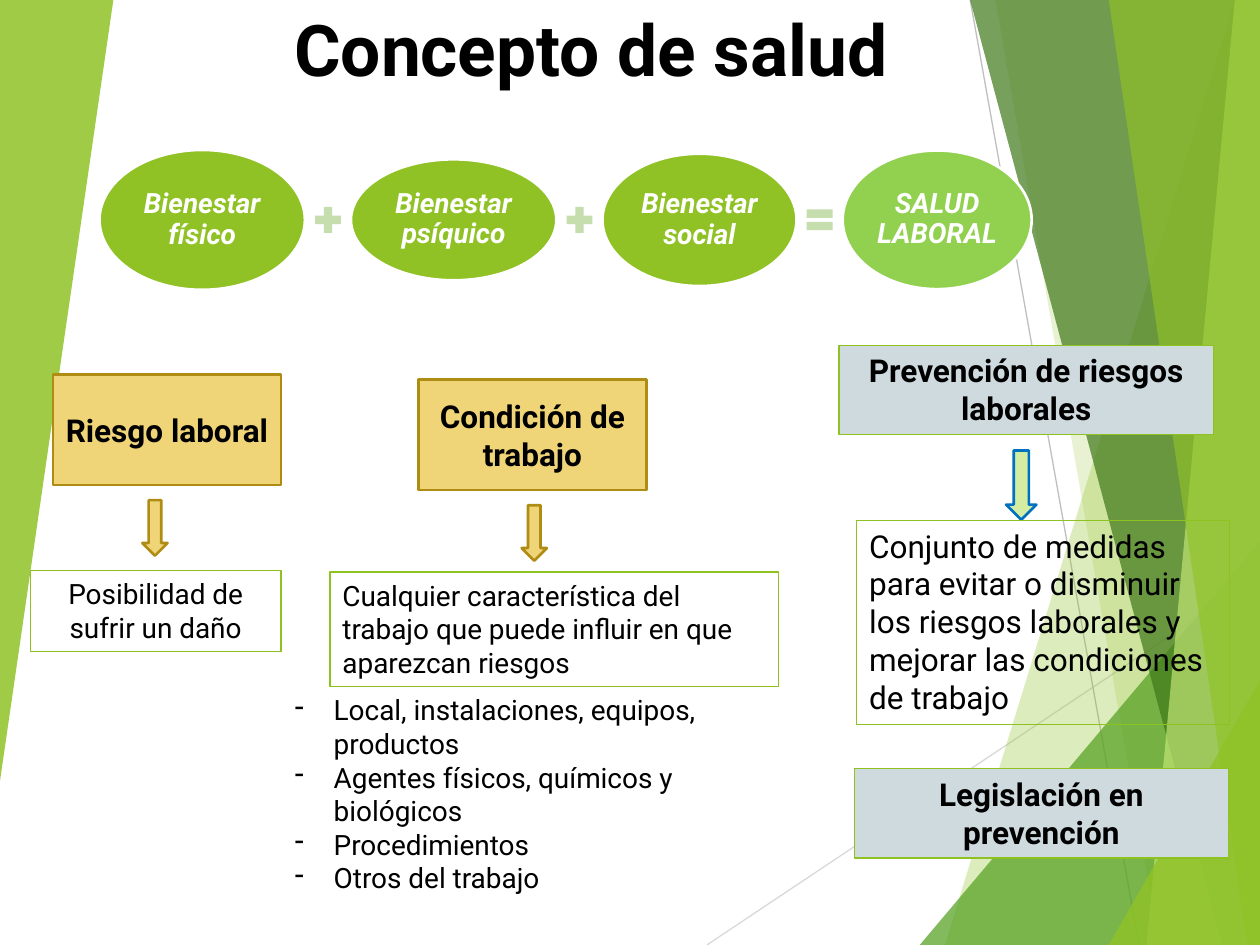
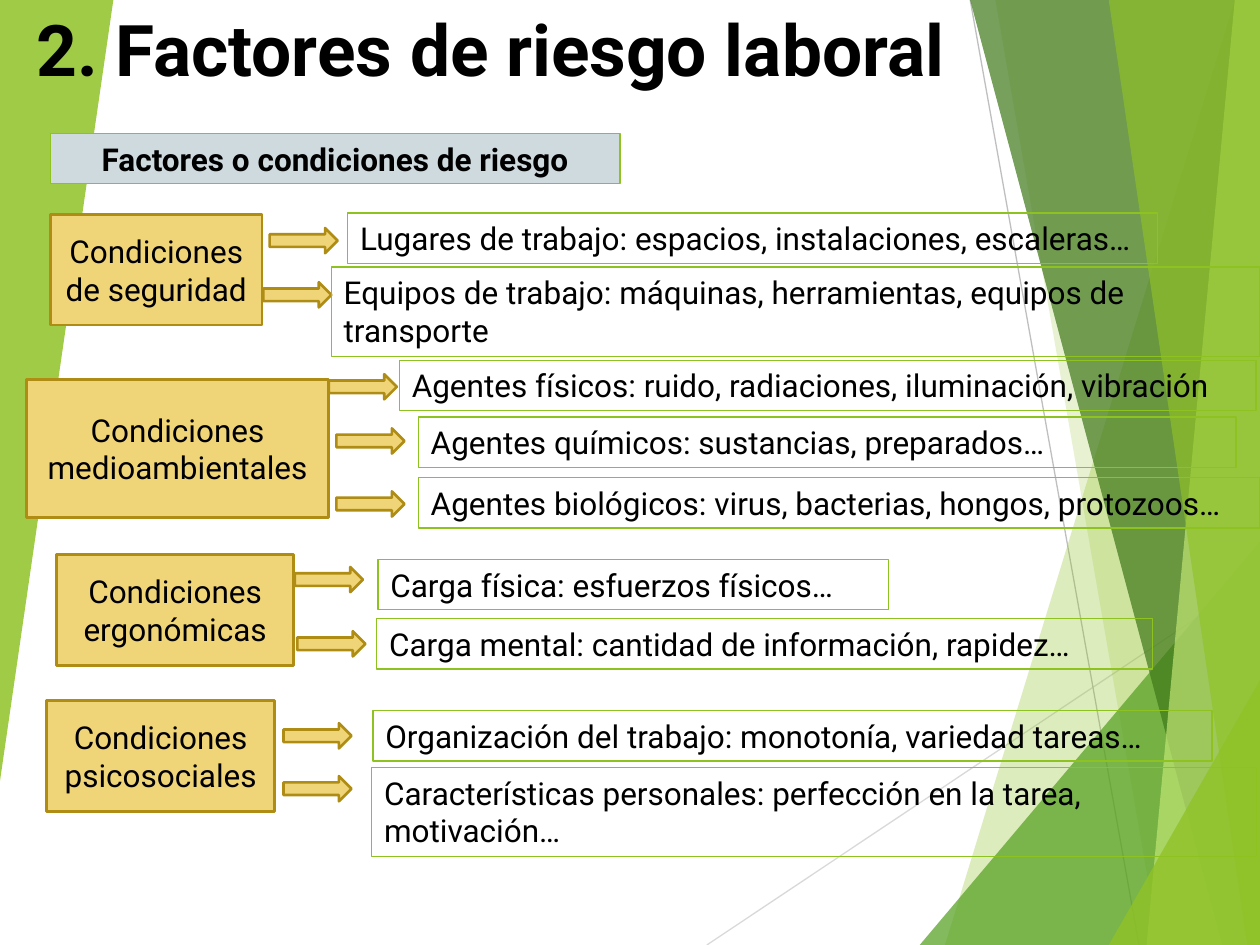
from typing import NamedTuple

from lxml.etree import SubElement
from pptx import Presentation
from pptx.dml.color import RGBColor
from pptx.enum.shapes import MSO_CONNECTOR, MSO_SHAPE
from pptx.enum.text import MSO_ANCHOR, MSO_AUTO_SIZE, PP_ALIGN
from pptx.oxml.ns import qn
from pptx.util import Inches, Pt

# Grid: 100 columns by 75 rows of square cells
COLUMNS, ROWS = 100, 75
CELL = Inches(0.1)

BLACK, WHITE = "000000", "FFFFFF"
LIME, LIGHT_LIME = "90C226", "92D050"
GOLD, DARK_GOLD = "F0D578", "AF8C14"
GREY_BLUE, BOX_LINE = "CFDADF", "8EC221"
PALE_GREEN, BLUE, OPERATOR = "D5EDA2", "0070C0", "C6DDAD"

FONTS = {
    "title": {"size": Pt(40.7), "bold": True},
    "heading": {"size": Pt(18), "bold": True},
    "body": {"size": Pt(18)},
    "small": {"size": Pt(16)},
    "bubble": {"size": Pt(16), "bold": True, "italic": True},
}

# Backdrop facets: colour, opacity in percent, corners
FACETS = [
    (LIME, 30, [(97.5, 0), (75.4, 75), (100, 75), (100, 0)]),
    (LIME, 20, [(78.8, 0), (91.9, 75), (100, 75), (100, 0)]),
    ("54A021", 72, [(72.6, 75), (100, 42.9), (100, 75)]),
    ("3F7819", 70, [(76.7, 0), (97, 75), (100, 75), (100, 0)]),
    ("C0E474", 70, [(98.1, 0), (90.7, 75), (100, 75), (100, 0)]),
    (LIME, 65, [(88.3, 0), (98.6, 75), (100, 75), (99.8, 0)]),
    (LIME, 80, [(88.1, 75), (100, 53.5), (100, 75)]),
    (LIME, 85, [(0, 0), (9.4, 0), (0, 62)]),
]
BACKDROP_LINES = [("D9D9D9", (56.1, 75, 100, 45.7)),
                  ("BFBFBF", (77, 0, 90.4, 75))]


class Box(NamedTuple):
    left: float
    top: float
    width: float
    height: float

    def inner(self, left, top, width, height):
        return Box(self.left + left, self.top + top, width, height)

    def lengths(self):
        return [round(value * CELL) for value in self]


def set_all(target, values):
    for name, value in values.items():
        setattr(target, name, value)


def color(hex_text):
    return RGBColor.from_string(hex_text)


def paint(shape, fill=None, line=None, width=0.75):
    shape.shadow.inherit = False
    if fill:
        shape.fill.solid()
        shape.fill.fore_color.rgb = color(fill)
    else:
        shape.fill.background()
    if line:
        shape.line.color.rgb = color(line)
        shape.line.width = Pt(width)
    else:
        shape.line.fill.background()


def write(shape, lines, font, align=PP_ALIGN.LEFT, ink=BLACK, bullet=None, **frame_values):
    frame = shape.text_frame
    set_all(frame, {"word_wrap": True, "vertical_anchor": MSO_ANCHOR.TOP, **frame_values})
    for index, line in enumerate(lines):
        paragraph = frame.add_paragraph() if index else frame.paragraphs[0]
        paragraph.alignment = align
        if bullet:
            properties = paragraph._p.get_or_add_pPr()
            properties.set("marL", str(Inches(0.31)))
            properties.set("indent", str(-Inches(0.31)))
            SubElement(properties, qn("a:buChar")).set("char", bullet)
        run = paragraph.add_run()
        run.text = line
        set_all(run.font, {"name": "Roboto", **FONTS[font]})
        run.font.color.rgb = color(ink)


def add_preset(slide, kind, box, fill=None, line=None, width=0.75):
    shape = slide.shapes.add_shape(kind, *box.lengths())
    paint(shape, fill, line, width)
    return shape


def add_arrow(slide, box, fill=GOLD, line=DARK_GOLD, rotation=0):
    arrow = add_preset(slide, MSO_SHAPE.RIGHT_ARROW, box, fill, line, 1.5)
    arrow.rotation = rotation


def add_gold_box(slide, box, text, font):
    shape = add_preset(slide, MSO_SHAPE.RECTANGLE, box, GOLD, DARK_GOLD, 1.5)
    write(shape, [text], font, PP_ALIGN.CENTER, vertical_anchor=MSO_ANCHOR.MIDDLE)


def add_green_box(slide, box, text, font="body", align=PP_ALIGN.LEFT, fill=None):
    shape = add_preset(slide, MSO_SHAPE.RECTANGLE, box, fill, BOX_LINE)
    write(shape, [text], font, align, auto_size=MSO_AUTO_SIZE.SHAPE_TO_FIT_TEXT)


def add_heading_box(slide, box, text):
    add_green_box(slide, box, text, "heading", PP_ALIGN.CENTER, GREY_BLUE)


# Shared frame of every slide
def add_backdrop(slide):
    for hex_text, ends in BACKDROP_LINES:
        line = slide.shapes.add_connector(
            MSO_CONNECTOR.STRAIGHT, *[round(value * CELL) for value in ends])
        line.line.color.rgb = color(hex_text)
        line.line.width = Pt(0.75)
        SubElement(line._element.spPr, qn("a:effectLst"))
    for hex_text, opacity, corners in FACETS:
        builder = slide.shapes.build_freeform(*corners[0], scale=CELL)
        builder.add_line_segments(corners[1:], close=True)
        facet = builder.convert_to_shape()
        paint(facet, hex_text)
        fill_color = facet._element.spPr.find(qn("a:solidFill"))[0]
        SubElement(fill_color, qn("a:alpha")).set("val", str(opacity * 1000))


def add_titled_slide(presentation, title, align):
    slide = presentation.slides.add_slide(presentation.slide_layouts[6])
    add_backdrop(slide)
    text_box = slide.shapes.add_textbox(*Box(1.9, 0, 90, 7.6).lengths())
    write(text_box, [title], "title", align, vertical_anchor=MSO_ANCHOR.MIDDLE)
    return slide


# Row of bubbles joined by operators, centred on the middle of its box
def add_health_equation(slide, box):
    plus, equal = MSO_SHAPE.MATH_PLUS, MSO_SHAPE.MATH_EQUAL
    terms = [
        ("Bienestar físico", 16.3, 11.1, LIME, plus),
        ("Bienestar psíquico", 16.3, 9.6, LIME, plus),
        ("Bienestar social", 15.4, 10.5, LIME, equal),
        ("SALUD LABORAL", 15, 11, LIGHT_LIME, None),
    ]
    gap, sign = 0.43, 2.8
    inset = Inches(0.02)
    margins = {f"margin_{side}": inset for side in ("left", "right", "top", "bottom")}
    left = 0
    for text, width, height, fill, operator in terms:
        place = box.inner(left, (box.height - height) / 2, width, height)
        bubble = add_preset(slide, MSO_SHAPE.OVAL, place, fill, WHITE, 1.5)
        write(bubble, [text], "bubble", PP_ALIGN.CENTER, WHITE,
              vertical_anchor=MSO_ANCHOR.MIDDLE, **margins)
        bubble.text_frame.paragraphs[0].line_spacing = 0.9
        left += width + gap
        if operator:
            place = box.inner(left, (box.height - sign) / 2, sign, sign)
            add_preset(slide, operator, place, OPERATOR)
            left += sign + gap


# Column with a gold term, a down arrow and its meaning
def add_term_column(slide, box, term, term_left, arrow_left, meaning, meaning_height, align):
    add_gold_box(slide, box.inner(term_left, 0, 18.1, 8.8), term, "heading")
    add_arrow(slide, box.inner(arrow_left, 11.2, 4.4, 2), rotation=90)
    place = box.inner(0, box.height - meaning_height, box.width, meaning_height)
    add_green_box(slide, place, meaning, "small", align)


# Right-hand column on prevention
def add_prevention_column(slide, box):
    add_heading_box(slide, box.inner(0, 0, 29.7, 7.1), "Prevención de riesgos laborales")
    add_arrow(slide, box.inner(11.7, 9.9, 5.5, 2.4), PALE_GREEN, BLUE, 90)
    add_green_box(slide, box.inner(1.4, 13.9, 29.6, 16.2),
                  "Conjunto de medidas para evitar o disminuir los riesgos laborales "
                  "y mejorar las condiciones de trabajo")
    add_heading_box(slide, box.inner(1.2, 33.6, 29.7, 7.1), "Legislación en prevención")


def build_concept_slide(presentation):
    slide = add_titled_slide(presentation, "Concepto de salud", PP_ALIGN.CENTER)
    add_health_equation(slide, Box(7.9, 11.9, 74, 11.1))
    add_term_column(slide, Box(2.4, 29.7, 19.9, 22), "Riesgo laboral", 1.8, 7.7,
                    "Posibilidad de sufrir un daño", 6.4, PP_ALIGN.CENTER)
    add_term_column(slide, Box(26.2, 30.1, 35.6, 24.4), "Condición de trabajo", 7, 14,
                    "Cualquier característica del trabajo que puede influir en que "
                    "aparezcan riesgos", 9.1, PP_ALIGN.LEFT)
    examples = slide.shapes.add_textbox(*Box(22.4, 54.5, 41.9, 17.2).lengths())
    write(examples, ["Local, instalaciones, equipos, productos",
                     "Agentes físicos, químicos y biológicos",
                     "Procedimientos", "Otros del trabajo"], "small", bullet="-")
    add_prevention_column(slide, Box(66.6, 27.4, 31, 40.7))


# Gold condition box; arrows and factors are placed from its top right corner
def add_condition_group(slide, box, condition, factors):
    add_gold_box(slide, box, condition, "body")
    for arrow, (left, top, width, lines), text in factors:
        add_arrow(slide, box.inner(box.width + arrow[0], arrow[1], 5.4, 2))
        height = 0.9 + 3.1 * lines
        add_green_box(slide, box.inner(box.width + left, top, width, height), text)


# Per factor: arrow (left, top), text box (left, top, width, lines), text
CONDITIONS = [
    (Box(4, 17, 16.8, 8.8), "Condiciones de seguridad", [
        ((0.6, 1.1), (6.8, -0.1, 64.3, 1),
         "Lugares de trabajo: espacios, instalaciones, escaleras…"),
        ((0.1, 5.4), (5.5, 4.2, 73.7, 2),
         "Equipos de trabajo: máquinas, herramientas, equipos de transporte"),
    ]),
    (Box(2.1, 30.1, 24, 11), "Condiciones medioambientales", [
        ((0, -0.4), (5.6, -1.5, 68, 1),
         "Agentes físicos: ruido, radiaciones, iluminación, vibración"),
        ((0.6, 3.9), (7.1, 3, 64.9, 1), "Agentes químicos: sustancias, preparados…"),
        ((0.6, 8.9), (7.1, 7.8, 66.8, 1),
         "Agentes biológicos: virus, bacterias, hongos, protozoos…"),
    ]),
    (Box(4.5, 44, 18.8, 8.8), "Condiciones ergonómicas", [
        ((0.1, 1), (6.7, 0.4, 40.5, 1), "Carga física: esfuerzos físicos…"),
        ((0.3, 6.1), (6.6, 5.1, 61.6, 1),
         "Carga mental: cantidad de información, rapidez…"),
    ]),
    (Box(3.7, 55.6, 18.1, 8.8), "Condiciones psicosociales", [
        ((0.7, 1.8), (7.8, 0.8, 66.6, 1),
         "Organización del trabajo: monotonía, variedad tareas…"),
        ((0.7, 6), (7.7, 5.3, 70.2, 2),
         "Características personales: perfección en la tarea, motivación…"),
    ]),
]


def build_factors_slide(presentation):
    slide = add_titled_slide(presentation, "2. Factores de riesgo laboral", PP_ALIGN.LEFT)
    add_heading_box(slide, Box(4, 10.6, 45.2, 4), "Factores o condiciones de riesgo")
    for box, condition, factors in CONDITIONS:
        add_condition_group(slide, box, condition, factors)


def main():
    presentation = Presentation()
    set_all(presentation, {"slide_width": COLUMNS * CELL, "slide_height": ROWS * CELL})
    build_concept_slide(presentation)
    build_factors_slide(presentation)
    presentation.save("out.pptx")


if __name__ == "__main__":
    main()
